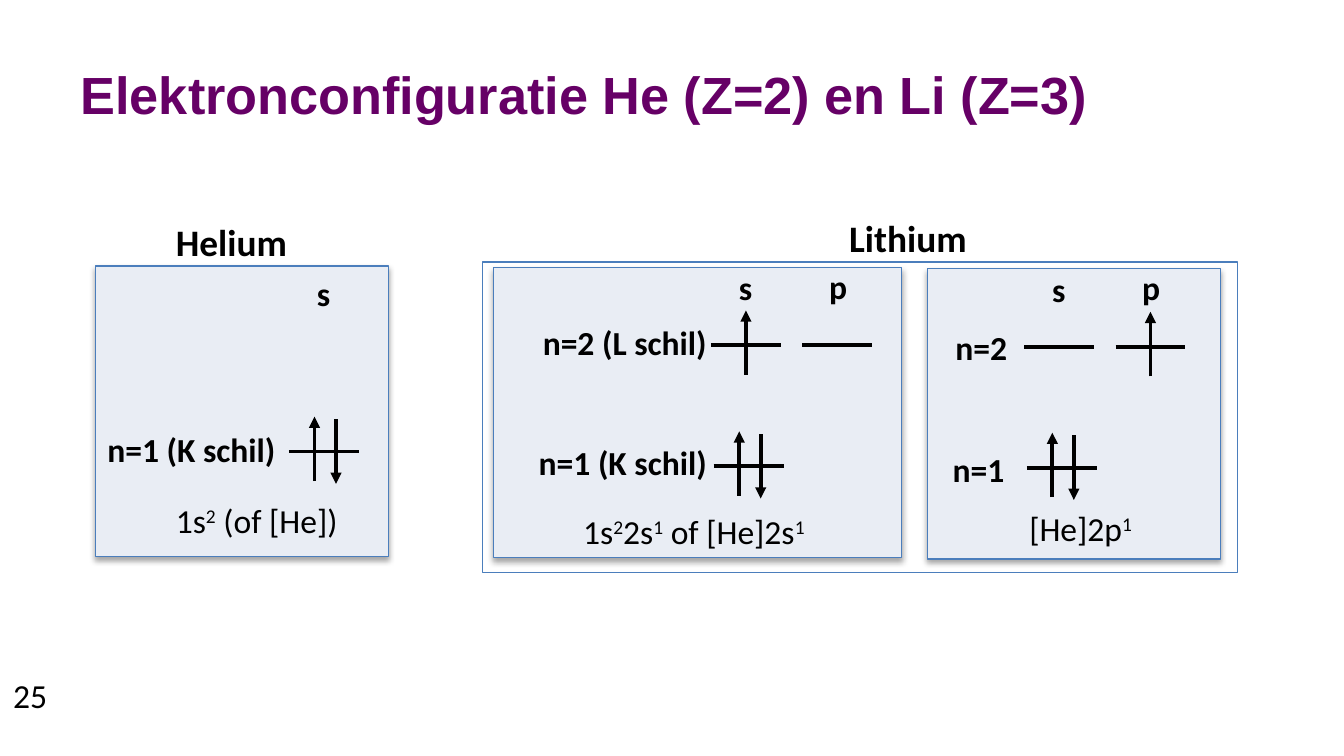
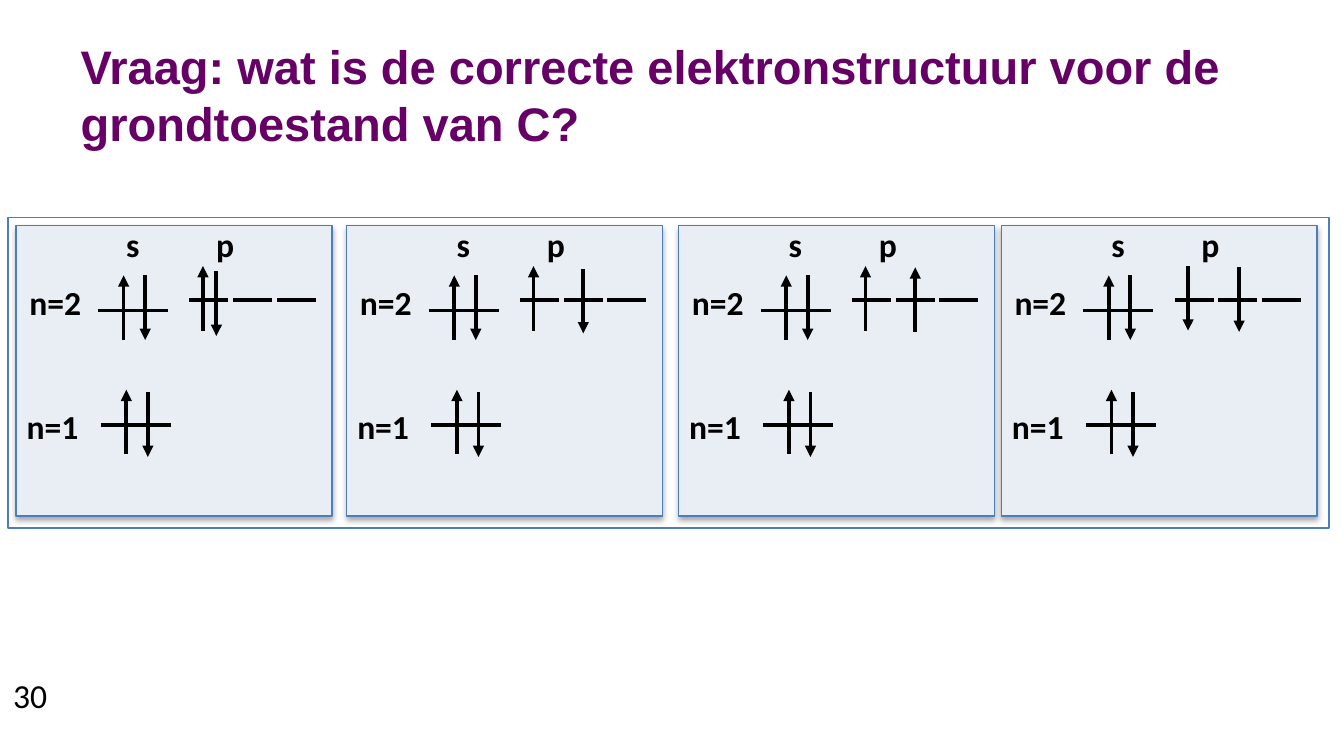
from dataclasses import dataclass

from lxml.etree import SubElement
from pptx import Presentation
from pptx.dml.color import RGBColor
from pptx.enum.shapes import MSO_CONNECTOR, MSO_SHAPE
from pptx.enum.text import MSO_ANCHOR, MSO_AUTO_SIZE, PP_ALIGN
from pptx.oxml.ns import qn
from pptx.util import Inches, Pt


@dataclass(frozen=True)
class Theme:
    title_color: RGBColor = RGBColor(0x66, 0x00, 0x66)
    ink: RGBColor = RGBColor(0x00, 0x00, 0x00)
    panel_fill: RGBColor = RGBColor(0xE9, 0xED, 0xF4)
    border: RGBColor = RGBColor(0x4B, 0x7E, 0xBC)
    title_font: str = "Arial"
    body_font: str = "Calibri"
    title_size: float = 28
    long_title_size: float = 25.2
    element_size: float = 20
    body_size: float = 18
    border_width: float = 0.75
    line_width: float = 2


T = Theme()
LEVEL_W = 0.52   # width of a single orbital line
CELL_W = 0.29    # width of one of the three p orbitals
CELL_GAP = 0.035
SPIN_H = 0.48    # length of an electron arrow
PANEL_H = 2.16
FRAME_H = 2.31


# Text
def style_run(r, size, color=T.ink, font=T.body_font, bold=False):
    r.font.size = Pt(size)
    r.font.name = font
    r.font.bold = bold
    r.font.color.rgb = color


def add_slide(prs, title, number, size=T.title_size):
    s = prs.slides.add_slide(prs.slide_layouts[5])
    sp = s.shapes.title
    sp.left, sp.top, sp.width, sp.height = map(Inches, (0.5, 0.23, 9, 0.94))
    tf = sp.text_frame
    tf.text = title
    tf.auto_size = MSO_AUTO_SIZE.NONE
    tf.vertical_anchor = MSO_ANCHOR.MIDDLE
    p = tf.paragraphs[0]
    p.alignment = PP_ALIGN.LEFT
    style_run(p.runs[0], size, T.title_color, T.title_font, True)
    add_label(s, number, 0, 4.97, 0.46, bold=False, wrap=False)
    return s


def add_label(s, text, x, y, w=1.88, h=0.4, size=T.body_size, bold=True, wrap=True):
    tf = s.shapes.add_textbox(Inches(x), Inches(y), Inches(w), Inches(h)).text_frame
    tf.word_wrap = wrap
    tf.text = text
    style_run(tf.paragraphs[0].runs[0], size, bold=bold)


def add_formula(s, parts, x, y, w):
    """Write parts that are by turns normal and superscript."""
    tf = s.shapes.add_textbox(Inches(x), Inches(y), Inches(w), Inches(0.71)).text_frame
    tf.word_wrap = True
    p = tf.paragraphs[0]
    for i, part in enumerate(parts):
        r = p.add_run()
        r.text = part
        style_run(r, T.body_size)
        if i % 2:
            r._r.get_or_add_rPr().set("baseline", "30000")


# Boxes
def add_frame(s, x, y, w, h=FRAME_H):
    sp = s.shapes.add_shape(MSO_SHAPE.RECTANGLE, Inches(x), Inches(y), Inches(w), Inches(h))
    sp.shadow.inherit = False
    sp.fill.background()
    sp.line.color.rgb = T.border
    sp.line.width = Pt(T.border_width)
    return sp


def add_panel(s, x, y, w):
    sp = add_frame(s, x, y, w, PANEL_H)
    sp.fill.solid()
    sp.fill.fore_color.rgb = T.panel_fill
    effects = sp._element.spPr.find(qn("a:effectLst"))
    shadow = SubElement(effects, qn("a:outerShdw"), blurRad=str(Pt(3.1)),
                        dist=str(Pt(1.8)), dir="5400000", rotWithShape="0")
    color = SubElement(shadow, qn("a:srgbClr"), val=str(T.ink))
    SubElement(color, qn("a:alpha"), val="35000")


# Orbitals and electrons
def add_line(s, x1, y1, x2, y2, arrow=False):
    c = s.shapes.add_connector(MSO_CONNECTOR.STRAIGHT, Inches(x1), Inches(y1),
                               Inches(x2), Inches(y2))
    c.line.color.rgb = T.ink
    c.line.width = Pt(T.line_width)
    if arrow:
        SubElement(c.line._get_or_add_ln(), qn("a:tailEnd"), type="triangle")
    SubElement(c._element.spPr, qn("a:effectLst"))


def add_level(s, x, y, w=LEVEL_W):
    add_line(s, x, y, x + w, y)


def add_spin(s, x, top, up=True):
    ends = (top + SPIN_H, top) if up else (top, top + SPIN_H)
    add_line(s, x, ends[0], x, ends[1], arrow=True)


def add_filled_level(s, x, y, down_rise=0.24):
    add_level(s, x, y)
    add_spin(s, x + 0.19, y - 0.26)
    add_spin(s, x + 0.35, y - down_rise, up=False)


def add_lithium(s, x, y, electron_x):
    """Draw 1s, 2s and 2p; x, y is the left end of the 2s line."""
    add_label(s, "s", x + 0.11, y - 0.63, 0.98)
    add_label(s, "p", x + 0.78, y - 0.64, 0.49)
    add_level(s, x, y)
    add_level(s, x + 0.68, y)
    add_spin(s, electron_x, y - 0.26)
    add_filled_level(s, x + 0.02, y + 0.9)


def add_carbon(s, x, spins):
    """Draw one answer; spins holds (offset, top, up) of the 2p electrons."""
    add_panel(s, x, 1.68, 2.35)
    add_label(s, "n=1", x - 0.02, 2.97)
    add_label(s, "n=2", x, 2.05)
    add_label(s, "s", x + 0.72, 1.62, 0.98)
    add_label(s, "p", x + 1.39, 1.62, 0.49)
    add_filled_level(s, x + 0.63, 3.16)
    add_filled_level(s, x + 0.61, 2.31, down_rise=0.26)
    for i in range(3):
        add_level(s, x + 1.29 + i * (CELL_W + CELL_GAP), 2.23, CELL_W)
    for offset, top, up in spins:
        add_spin(s, x + offset, top, up)


# Slides
def build_helium_lithium(prs):
    s = add_slide(prs, "Elektronconfiguratie He (Z=2) en Li (Z=3)", "25")
    add_frame(s, 3.59, 1.95, 5.62)
    for x, y, w in ((6.9, 2, 2.18), (3.67, 1.99, 3.04), (0.71, 1.98, 2.18)):
        add_panel(s, x, y, w)
    add_label(s, "Helium", 1.21, 1.58, 1.29, 0.44, T.element_size)
    add_label(s, "Lithium", 6.22, 1.55, 1.29, 0.44, T.element_size)

    # Helium
    add_label(s, "s", 2.26, 1.98, 0.98)
    add_label(s, "n=1 (K schil)", 0.7, 3.14, 1.59)
    add_filled_level(s, 2.15, 3.36)
    add_formula(s, ("1s", "2", " (of [He])"), 1.21, 3.67, 1.78)

    # Lithium, ground state
    add_label(s, "n=2 (L schil)", 3.94, 2.35)
    add_label(s, "n=1 (K schil)", 3.91, 3.24)
    add_lithium(s, 5.29, 2.57, electron_x=5.55)
    add_formula(s, ("1s", "2", "2s", "1", " of [He]2s", "1"), 4.24, 3.75, 2.11)

    # Lithium, excited state
    add_label(s, "n=2", 7.01, 2.38)
    add_label(s, "n=1", 6.99, 3.29)
    add_lithium(s, 7.62, 2.58, electron_x=8.56)
    add_formula(s, ("[He]2p", "1"), 7.56, 3.73, 2.11)


def build_carbon_question(prs):
    s = add_slide(prs, "Vraag: wat is de correcte elektronstructuur voor de "
                  "grondtoestand van C?", "30", T.long_title_size)
    add_frame(s, 0.06, 1.62, 9.83)
    answers = (
        (0.12, ((1.39, 1.98, True), (1.49, 2.02, False))),
        (2.58, ((1.39, 1.98, True), (1.76, 2.0, False))),
        (5.05, ((1.39, 1.98, True), (1.76, 1.99, True))),
        (7.45, ((1.39, 1.98, False), (1.77, 1.99, False))),
    )
    for x, spins in answers:
        add_carbon(s, x, spins)


def main():
    prs = Presentation()
    prs.slide_width = Inches(10)
    prs.slide_height = Inches(10 * 9 / 16)  # widescreen
    build_helium_lithium(prs)
    build_carbon_question(prs)
    prs.save("out.pptx")


if __name__ == "__main__":
    main()
